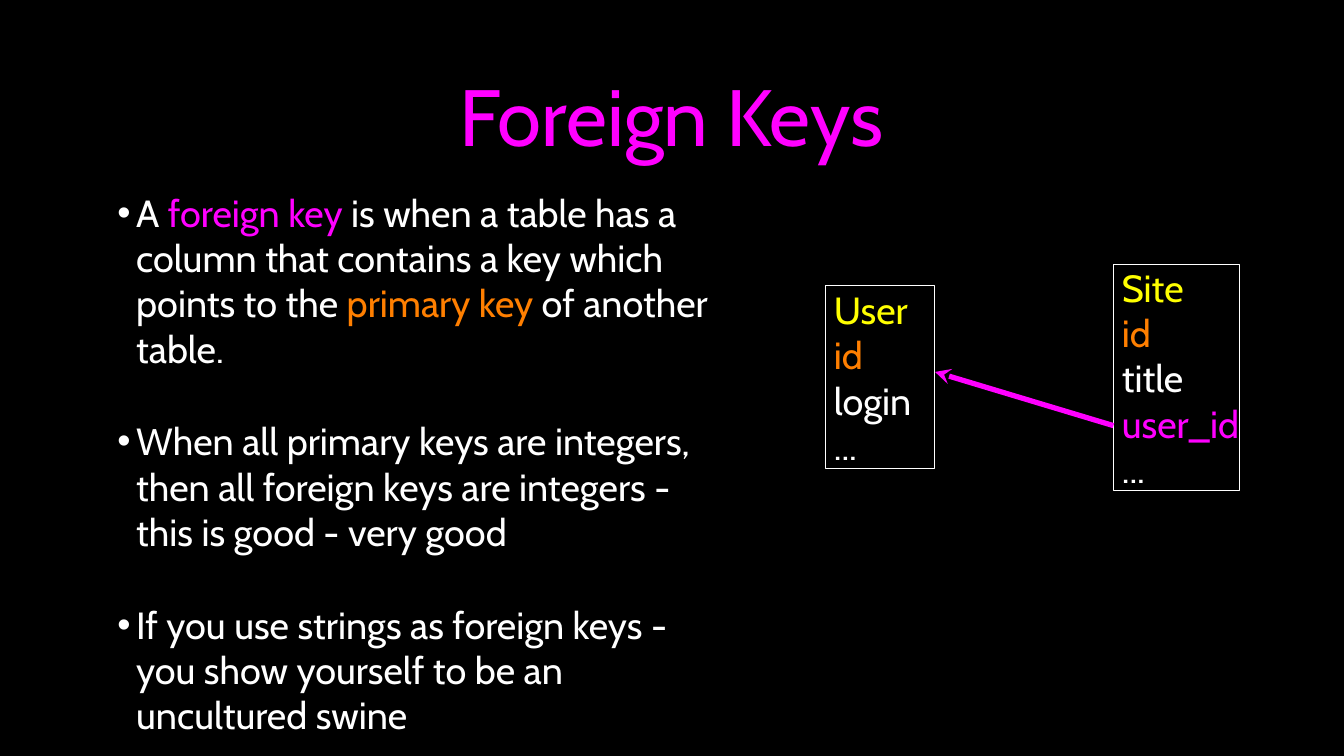
"""Build a slide that explains foreign keys with two linked table outlines."""
import lxml.etree
import pptx
import pptx.dml.color
import pptx.enum.shapes
import pptx.enum.text
import pptx.oxml.ns
import pptx.util

Pt = pptx.util.Pt
RGBColor = pptx.dml.color.RGBColor
PP_ALIGN = pptx.enum.text.PP_ALIGN

BLACK = RGBColor(0x00, 0x00, 0x00)
WHITE = RGBColor(0xFF, 0xFF, 0xFF)
MAGENTA = RGBColor(0xFF, 0x00, 0xFF)
ORANGE = RGBColor(0xFF, 0x7F, 0x00)
YELLOW = RGBColor(0xFF, 0xFF, 0x00)

FONT_NAME = "Cabin"
TITLE_SIZE = 76
TEXT_SIZE = 36

BULLETS = [
    [("A", WHITE), (" foreign key", MAGENTA),
     (" is when a table has a column that contains a key which points to the ", WHITE),
     ("primary key", ORANGE), (" of another table.", WHITE)],
    [("When all primary keys are integers, then all foreign keys are integers"
      " - this is good - very good", WHITE)],
    [("If you use strings as foreign keys - you show yourself to be an"
      " uncultured swine", WHITE)],
]
USER_ROWS = [("User", YELLOW), ("id", ORANGE), ("login", WHITE), ("...", WHITE)]
SITE_ROWS = [("Site", YELLOW), ("id", ORANGE), ("title", WHITE),
             ("user_id", MAGENTA), ("...", WHITE)]


def apply_format(target, values):
    for name, value in values.items():
        setattr(target, name, value)


def place(shape, left, top, width, height):
    apply_format(shape, {"left": Pt(left), "top": Pt(top),
                         "width": Pt(width), "height": Pt(height)})


def format_frame(frame, left, top, right, bottom):
    apply_format(frame, {
        "word_wrap": True,
        "auto_size": pptx.enum.text.MSO_AUTO_SIZE.NONE,
        "vertical_anchor": pptx.enum.text.MSO_ANCHOR.MIDDLE,
        "margin_left": Pt(left), "margin_top": Pt(top),
        "margin_right": Pt(right), "margin_bottom": Pt(bottom),
    })


def add_paragraphs(frame, lines, size, paragraph_format):
    for index, runs in enumerate(lines):
        paragraph = frame.add_paragraph() if index else frame.paragraphs[0]
        apply_format(paragraph, paragraph_format)
        for text, color in runs:
            run = paragraph.add_run()
            run.text = text
            apply_format(run.font, {"name": FONT_NAME, "size": Pt(size)})
            run.font.color.rgb = color


def add_child(parent, tag, **attributes):
    return lxml.etree.SubElement(parent, pptx.oxml.ns.qn(tag), attributes)


def fill_title(shape):
    place(shape, 90.72, 18.72, 1097.28, 180.72)
    format_frame(shape.text_frame, 3, 3, 3, 3)
    add_paragraphs(shape.text_frame, [[("Foreign Keys", MAGENTA)]], TITLE_SIZE,
                   {"alignment": PP_ALIGN.CENTER})


def fill_bullets(shape):
    place(shape, 90.72, 192.96, 601.2, 496.8)
    frame = shape.text_frame
    format_frame(frame, 3, 3, 3, 3)
    add_paragraphs(frame, BULLETS, TEXT_SIZE,
                   {"alignment": PP_ALIGN.LEFT, "space_before": Pt(35),
                    "space_after": Pt(10)})
    frame.paragraphs[0].space_before = Pt(0)
    for paragraph in frame.paragraphs:
        properties = paragraph._p.get_or_add_pPr()
        apply_indent = {"marL": Pt(36), "indent": Pt(-18)}
        for name, value in apply_indent.items():
            properties.set(name, str(value))
        add_child(add_child(properties, "a:buClr"), "a:srgbClr", val=str(WHITE))
        add_child(properties, "a:buChar", char="•")


def add_table_outline(slide, rows, left, top, width, height):
    shape = slide.shapes.add_shape(pptx.enum.shapes.MSO_SHAPE.RECTANGLE,
                                   Pt(left), Pt(top), Pt(width), Pt(height))
    shape.shadow.inherit = False
    shape.fill.background()
    shape.line.color.rgb = WHITE
    shape.line.width = Pt(1)
    format_frame(shape.text_frame, 8, 0, 0, 0)
    add_paragraphs(shape.text_frame, [[row] for row in rows], TEXT_SIZE,
                   {"alignment": PP_ALIGN.LEFT})


def add_key_arrow(slide, key_x, key_y, reference_x, reference_y):
    connector = slide.shapes.add_connector(
        pptx.enum.shapes.MSO_CONNECTOR.STRAIGHT,
        Pt(key_x), Pt(key_y), Pt(reference_x), Pt(reference_y))
    connector.line.color.rgb = MAGENTA
    connector.line.width = Pt(5)
    add_child(connector.line._get_or_add_ln(), "a:headEnd", type="stealth")
    add_child(connector._element.spPr, "a:effectLst")


def main():
    presentation = pptx.Presentation()
    apply_format(presentation, {"slide_width": Pt(1280.16), "slide_height": Pt(720)})
    slide = presentation.slides.add_slide(presentation.slide_layouts[1])
    slide.background.fill.solid()
    slide.background.fill.fore_color.rgb = BLACK
    fill_title(slide.shapes.title)
    fill_bullets(slide.placeholders[1])
    add_table_outline(slide, USER_ROWS, 786.24, 272.16, 103.68, 174.24)
    add_table_outline(slide, SITE_ROWS, 1060.56, 252, 120.24, 215.28)
    add_key_arrow(slide, 890.64, 354.24, 1060.56, 405.36)
    presentation.save("out.pptx")


if __name__ == "__main__":
    main()
